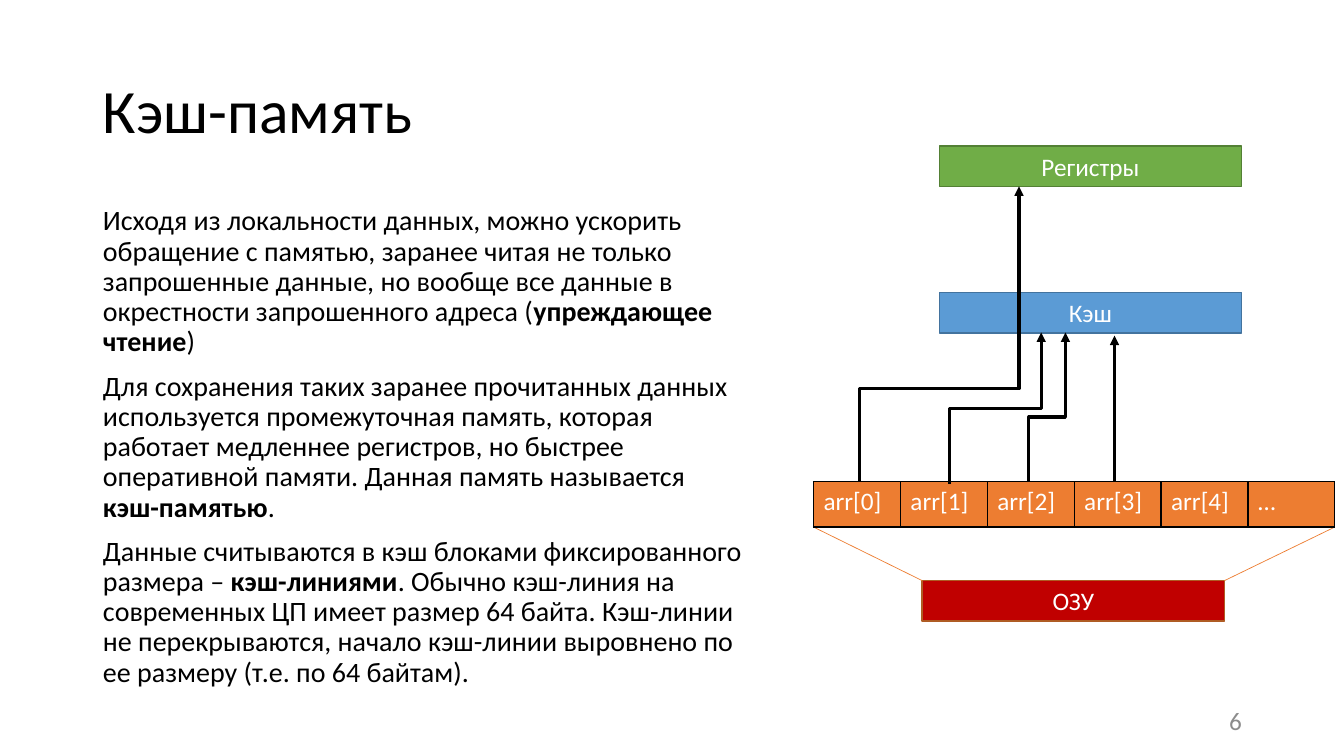
from dataclasses import dataclass
from typing import Any

from lxml.etree import SubElement
from pptx import Presentation
from pptx.dml.color import RGBColor
from pptx.enum.shapes import MSO_CONNECTOR as Link, MSO_SHAPE as Form
from pptx.enum.text import MSO_ANCHOR as Anchor, MSO_AUTO_SIZE as Fit, PP_ALIGN as Align
from pptx.oxml.ns import qn
from pptx.slide import Slide
from pptx.util import Cm, Pt

BLACK = RGBColor(0x00, 0x00, 0x00)
WHITE = RGBColor(0xFF, 0xFF, 0xFF)
GRAY = RGBColor(0x8C, 0x8C, 0x8C)
ORANGE = RGBColor(0xED, 0x7D, 0x31)
GREEN = RGBColor(0x70, 0xAD, 0x47)
MOSS = RGBColor(0x53, 0x80, 0x35)
BLUE = RGBColor(0x5B, 0x9B, 0xD5)
NAVY = RGBColor(0x43, 0x73, 0x9E)
RED = RGBColor(0xC0, 0x00, 0x00)
RUST = RGBColor(0xAF, 0x5C, 0x24)

BAR_W, BAR_H = 7.62, 1.02
ROW_X, ROW_Y, ROW_H, CELL_W = 20.5, 12.14, 1.14, 2.19


@dataclass
class Bar:
    text: str
    x: float
    y: float
    fill: RGBColor
    edge: RGBColor


@dataclass
class Wire:
    x: float
    y: float
    end_x: float
    end_y: float
    bend: int


RAM = Bar("ОЗУ", 23.24, 14.63, RED, RUST)
BARS = [
    Bar("Регистры", 23.67, 3.68, GREEN, MOSS),
    Bar("Кэш", 23.67, 7.37, BLUE, NAVY),
    RAM,
]
WIRES = [
    Wire(21.67, 12.14, 25.68, 4.7, 31500),
    Wire(23.93, 12.19, 26.24, 8.38, 50000),
    Wire(25.93, 12.14, 26.85, 8.38, 43400),
    Wire(28.09, 12.14, 28.09, 8.46, 50000),
]
CELLS = ["arr[0]", "arr[1]", "arr[2]", "arr[3]", "arr[4]", "…"]
NOTES = [
    ("Исходя из локальности данных, можно ускорить обращение с памятью, заранее "
     "читая не только запрошенные данные, но вообще все данные в окрестности "
     "запрошенного адреса (", "упреждающее чтение", ")"),
    ("Для сохранения таких заранее прочитанных данных используется промежуточная "
     "память, которая работает медленнее регистров, но быстрее оперативной памяти. "
     "Данная память называется ", "кэш-памятью", "."),
    ("Данные считываются в кэш блоками фиксированного размера – ", "кэш-линиями",
     ". Обычно кэш-линия на современных ЦП имеет размер 64 байта. Кэш-линии не "
     "перекрываются, начало кэш-линии выровнено по ее размеру (т.е. по 64 байтам)."),
]


def put(item: Any, values: dict[str, Any]) -> None:
    for name, value in values.items():
        setattr(item, name, value)


def place(item: Any, x: float, y: float, w: float, h: float) -> None:
    put(item, {"left": Cm(x), "top": Cm(y), "width": Cm(w), "height": Cm(h)})


def write(para: Any, text: str, size: int, color: RGBColor, bold: bool = False) -> None:
    run = para.add_run()
    run.text = text
    put(run.font, {"name": "Calibri", "size": Pt(size), "bold": bold})
    run.font.color.rgb = color


def add_title(slide: Slide) -> None:
    title = slide.shapes.title
    place(title, 2.34, 1.02, 29.21, 3.68)
    put(title.text_frame, {"vertical_anchor": Anchor.MIDDLE, "auto_size": Fit.NONE})
    para = title.text_frame.paragraphs[0]
    put(para, {"alignment": Align.LEFT, "line_spacing": 0.9})
    write(para, "Кэш-память", 44, BLACK)


def add_body(slide: Slide) -> None:
    body = slide.placeholders[1]
    place(body, 2.34, 5.08, 16.66, 12.95)
    frame = body.text_frame
    frame.auto_size = Fit.NONE
    for i, parts in enumerate(NOTES):
        para = frame.add_paragraph() if i else frame.paragraphs[0]
        put(para, {"line_spacing": 0.9, "space_before": Pt(10)})
        props = para._p.get_or_add_pPr()
        props.set("marL", "0")
        props.set("indent", "0")
        SubElement(props, qn("a:buNone"))
        for j, part in enumerate(parts):
            write(para, part, 20, BLACK, bold=j == 1)


def add_page(slide: Slide) -> None:
    box = slide.shapes.add_textbox(Cm(23.93), Cm(17.65), Cm(7.62), Cm(1.02))
    put(box.text_frame, {"word_wrap": True, "vertical_anchor": Anchor.MIDDLE})
    para = box.text_frame.paragraphs[0]
    para.alignment = Align.RIGHT
    write(para, "6", 18, GRAY)


def add_bar(slide: Slide, bar: Bar) -> None:
    shape = slide.shapes.add_shape(
        Form.RECTANGLE, Cm(bar.x), Cm(bar.y), Cm(BAR_W), Cm(BAR_H))
    shape.shadow.inherit = False
    shape.fill.solid()
    shape.fill.fore_color.rgb = bar.fill
    shape.line.color.rgb = bar.edge
    shape.line.width = Pt(1)
    shape.text_frame.vertical_anchor = Anchor.MIDDLE
    para = shape.text_frame.paragraphs[0]
    para.alignment = Align.CENTER
    write(para, bar.text, 18, WHITE)


def add_line(slide: Slide, kind: Link, ends: tuple[float, ...],
             color: RGBColor, width: float) -> Any:
    line = slide.shapes.add_connector(kind, *(Cm(n) for n in ends))
    line.line.color.rgb = color
    line.line.width = Pt(width)
    SubElement(line._element.spPr, qn("a:effectLst"))
    return line


def add_wire(slide: Slide, wire: Wire) -> None:
    mid_x, mid_y = (wire.x + wire.end_x) / 2, (wire.y + wire.end_y) / 2
    half_w, half_h = (wire.y - wire.end_y) / 2, (wire.end_x - wire.x) / 2
    ends = (mid_x + half_w, mid_y + half_h, mid_x - half_w, mid_y - half_h)
    line = add_line(slide, Link.ELBOW, ends, BLACK, 2.25)
    props = line._element.spPr
    frame = props.find(qn("a:xfrm"))
    for name, value in {"rot": "5400000", "flipH": "1", "flipV": "1"}.items():
        frame.set(name, value)
    SubElement(props.find(".//" + qn("a:avLst")), qn("a:gd"),
               {"name": "adj1", "fmla": f"val {wire.bend}"})
    SubElement(props.find(qn("a:ln")), qn("a:tailEnd"), {"type": "triangle"})


def add_edges(cell: Any) -> None:
    props = cell._tc.get_or_add_tcPr()
    for i, side in enumerate(("lnL", "lnR", "lnT", "lnB")):
        edge = props.makeelement(qn(f"a:{side}"), {"w": str(Pt(1))})
        fill = SubElement(edge, qn("a:solidFill"))
        SubElement(fill, qn("a:srgbClr"), {"val": str(BLACK)})
        props.insert(i, edge)


def add_row(slide: Slide) -> None:
    count = len(CELLS)
    table = slide.shapes.add_table(
        1, count, Cm(ROW_X), Cm(ROW_Y), Cm(CELL_W * count), Cm(ROW_H)).table
    put(table, {"first_row": False, "horz_banding": False})
    for i, text in enumerate(CELLS):
        table.columns[i].width = Cm(CELL_W)
        cell = table.cell(0, i)
        cell.fill.solid()
        cell.fill.fore_color.rgb = ORANGE
        add_edges(cell)
        write(cell.text_frame.paragraphs[0], text, 18, WHITE)


def main() -> None:
    deck = Presentation()
    put(deck, {"slide_width": Cm(33.87), "slide_height": Cm(19.05)})
    slide = deck.slides.add_slide(deck.slide_layouts[1])
    add_title(slide)
    add_body(slide)
    add_page(slide)
    for bar in BARS:
        add_bar(slide, bar)
    low = ROW_Y + ROW_H
    row_end = ROW_X + CELL_W * len(CELLS)
    for top_x, ram_x in ((ROW_X, RAM.x), (row_end, RAM.x + BAR_W)):
        add_line(slide, Link.STRAIGHT, (top_x, low, ram_x, RAM.y), ORANGE, 0.5)
    add_row(slide)
    for wire in WIRES:
        add_wire(slide, wire)
    deck.save("out.pptx")


if __name__ == "__main__":
    main()
